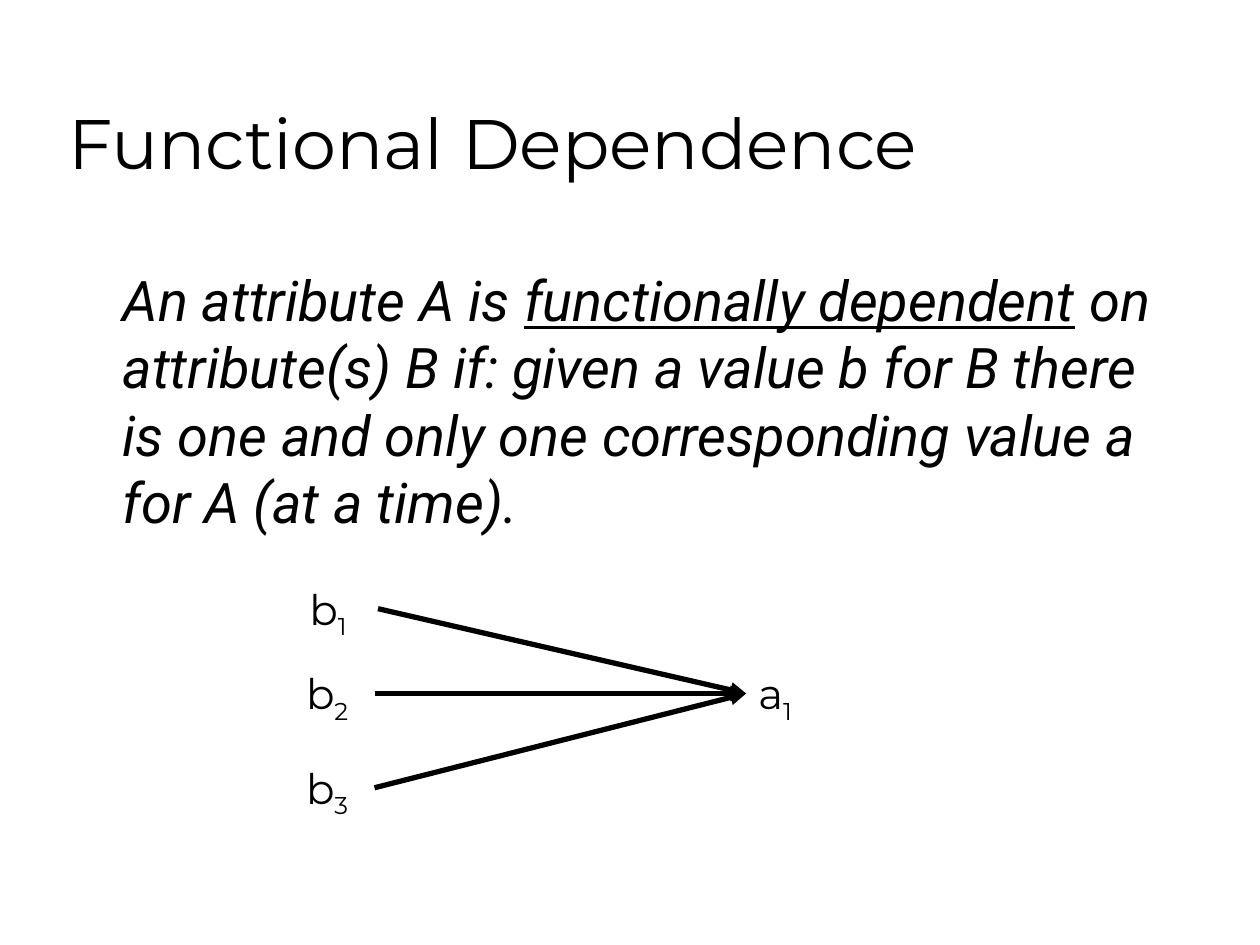
from dataclasses import dataclass

from lxml.etree import SubElement
from pptx import Presentation
from pptx.dml.color import RGBColor
from pptx.enum.shapes import MSO_CONNECTOR
from pptx.enum.text import MSO_ANCHOR, MSO_AUTO_SIZE, PP_ALIGN
from pptx.oxml.ns import qn
from pptx.util import Cm, Pt


@dataclass(frozen=True)
class Theme:
    ink: RGBColor = RGBColor(0, 0, 0)
    paper: RGBColor = RGBColor(255, 255, 255)
    heading_font: str = "Montserrat"
    body_font: str = "Roboto"
    title_size: int = 40
    body_size: int = 32
    label_size: int = 24
    arrow_width: int = 3


@dataclass(frozen=True)
class Label:
    """A letter with a subscript; positions are in centimetres."""
    letter: str
    index: str
    left: float
    top: float
    width: float = 1.63
    height: float = 1.42

    @property
    def right(self) -> float:
        return self.left + self.width

    @property
    def arrow_level(self) -> float:
        return self.top + 0.64


THEME = Theme()
SOURCES = [
    Label("b", "1", 5.99, 11.63),
    Label("b", "2", 5.92, 13.34),
    Label("b", "3", 5.92, 15.24),
]
TARGET = Label("a", "1", 15.04, 13.34)


def add_text(para, text: str, *, font: str, size: int, italic: bool = False,
             underline: bool = False, subscript: bool = False) -> None:
    span = para.add_run()
    span.text = text
    span.font.name = font
    span.font.size = Pt(size)
    span.font.italic = italic
    span.font.underline = underline
    span.font.color.rgb = THEME.ink
    if subscript:
        span.font._element.set("baseline", "-25000")


def place(box, left: float, top: float, width: float, height: float) -> None:
    box.left, box.top = Cm(left), Cm(top)
    box.width, box.height = Cm(width), Cm(height)


def fill_title(box) -> None:
    place(box, 1.12, 0.64, 21.59, 3.18)
    box.text_frame.vertical_anchor = MSO_ANCHOR.BOTTOM
    box.text_frame.auto_size = MSO_AUTO_SIZE.NONE
    para = box.text_frame.paragraphs[0]
    para.alignment = PP_ALIGN.LEFT
    add_text(para, "Functional Dependence", font=THEME.heading_font, size=THEME.title_size)


def fill_definition(box) -> None:
    place(box, 1.27, 5.23, 22.71, 6.22)
    box.text_frame.auto_size = MSO_AUTO_SIZE.NONE
    para = box.text_frame.paragraphs[0]
    para.space_before = Pt(8)
    properties = para._p.get_or_add_pPr()
    properties.set("marL", str(Cm(0.95)))
    properties.set("indent", "0")
    SubElement(properties, qn("a:buNone"))
    style = dict(font=THEME.body_font, size=THEME.body_size, italic=True)
    add_text(para, "An attribute A is ", **style)
    add_text(para, "functionally dependent", underline=True, **style)
    add_text(para, " on attribute(s) B if: given a value b for B there is one and "
                   "only one corresponding value a for A (at a time).", **style)


def add_label(page, label: Label) -> None:
    box = page.shapes.add_textbox(Cm(label.left), Cm(label.top),
                                  Cm(label.width), Cm(label.height))
    box.text_frame.word_wrap = True
    box.text_frame.auto_size = MSO_AUTO_SIZE.SHAPE_TO_FIT_TEXT
    para = box.text_frame.paragraphs[0]
    para.space_before = Pt(15)
    style = dict(font=THEME.heading_font, size=THEME.label_size)
    add_text(para, label.letter, **style)
    add_text(para, label.index, subscript=True, **style)


def add_arrow(page, source: Label, target: Label) -> None:
    arrow = page.shapes.add_connector(
        MSO_CONNECTOR.STRAIGHT, Cm(source.right), Cm(source.arrow_level),
        Cm(target.left), Cm(target.arrow_level))
    arrow.line.color.rgb = THEME.ink
    arrow.line.width = Pt(THEME.arrow_width)
    SubElement(arrow.line._get_or_add_ln(), qn("a:tailEnd"), type="triangle")
    SubElement(arrow._element.spPr, qn("a:effectLst"))


def main() -> None:
    deck = Presentation()
    deck.slide_width, deck.slide_height = Cm(25.4), Cm(19.05)
    page = deck.slides.add_slide(deck.slide_layouts.get_by_name("Title and Content"))
    page.background.fill.solid()
    page.background.fill.fore_color.rgb = THEME.paper
    fill_title(page.shapes.title)
    fill_definition(page.placeholders[1])
    for label in [*SOURCES, TARGET]:
        add_label(page, label)
    for source in SOURCES:
        add_arrow(page, source, TARGET)
    deck.save("out.pptx")


if __name__ == "__main__":
    main()
